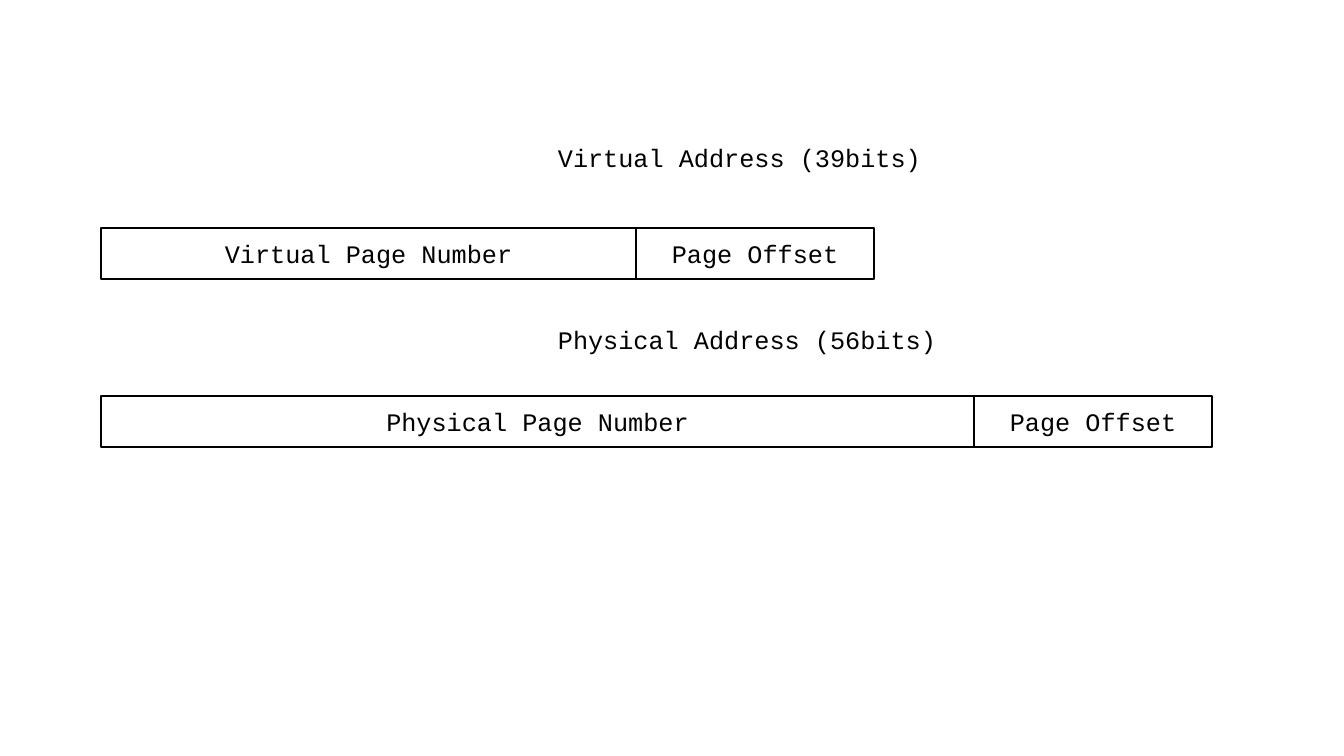
from pptx import Presentation
from pptx import util as u
from pptx.dml.color import RGBColor
from pptx.enum import shapes, text

# Each address: label, label top, bar top, fields as (name, width), in px
ADDRESSES = [
    ("Virtual Address (39bits)", 137, 228,
     [("Virtual Page Number", 535), ("Page Offset", 238)]),
    ("Physical Address (56bits)", 319, 396,
     [("Physical Page Number", 873), ("Page Offset", 238)]),
]
COLORS = {"ink": "000000", "paper": "FFFFFF"}
FONT = {"name": "Courier New", "size": u.Pt(18)}
SLIDE_W, SLIDE_H = 1344, 756
BAR_LEFT, BAR_H = 101, 51
LABEL_LEFT, LABEL_W, LABEL_H = 548, 414, 40


def px(n):
    return u.Emu(round(n * 914400 / 100.8))


def color(name):
    return RGBColor.from_string(COLORS[name])


def write(sp, content, align, anchor):
    tf = sp.text_frame
    tf.word_wrap = True
    tf.vertical_anchor = anchor
    p = tf.paragraphs[0]
    p.alignment = align
    r = p.add_run()
    r.text = content
    for key, value in FONT.items():
        setattr(r.font, key, value)
    r.font.color.rgb = color("ink")


def add_field(s, name, left, top, width):
    sp = s.shapes.add_shape(shapes.MSO_SHAPE.RECTANGLE,
                            *map(px, (left, top, width, BAR_H)))
    sp.shadow.inherit = False
    sp.fill.solid()
    sp.fill.fore_color.rgb = color("paper")
    sp.line.color.rgb = color("ink")
    sp.line.width = u.Pt(1)
    write(sp, name, text.PP_ALIGN.CENTER, text.MSO_ANCHOR.MIDDLE)


def add_label(s, label, top):
    sp = s.shapes.add_textbox(*map(px, (LABEL_LEFT, top, LABEL_W, LABEL_H)))
    write(sp, label, text.PP_ALIGN.LEFT, text.MSO_ANCHOR.TOP)
    sp.text_frame.auto_size = text.MSO_AUTO_SIZE.SHAPE_TO_FIT_TEXT


def main():
    prs = Presentation()
    prs.slide_width, prs.slide_height = px(SLIDE_W), px(SLIDE_H)
    s = prs.slides.add_slide(prs.slide_layouts[6])
    for label, label_top, bar_top, fields in ADDRESSES:
        left = BAR_LEFT
        for name, width in fields:
            add_field(s, name, left, bar_top, width)
            left += width
        add_label(s, label, label_top)
    prs.save("out.pptx")


if __name__ == "__main__":
    main()
